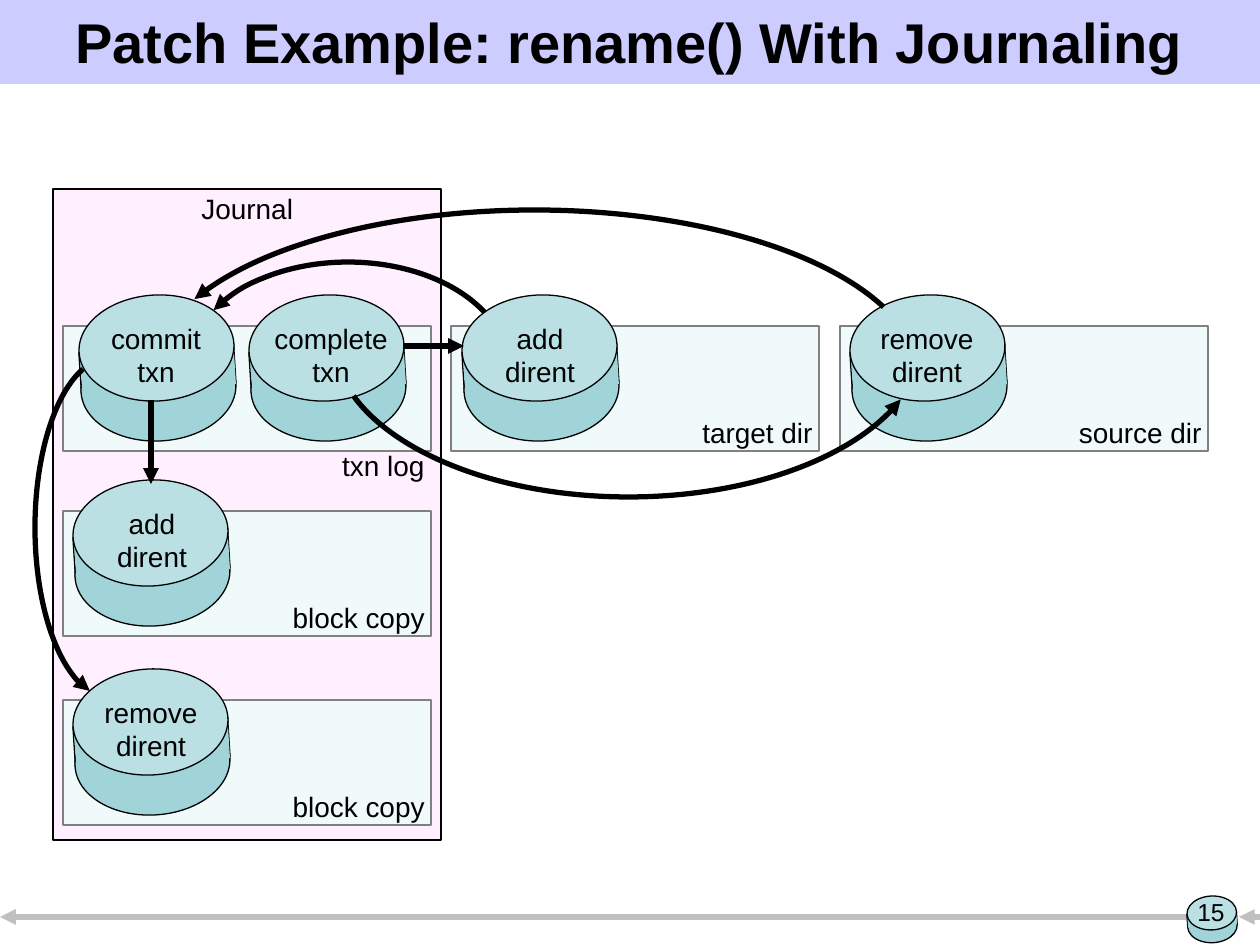
from math import atan2, degrees

from lxml.etree import SubElement
from pptx import Presentation
from pptx.dml.color import RGBColor
from pptx.enum.shapes import MSO_CONNECTOR, MSO_SHAPE
from pptx.enum.text import MSO_ANCHOR, MSO_AUTO_SIZE, PP_ALIGN
from pptx.oxml.ns import qn
from pptx.util import Emu, Pt

TITLE = "Patch Example: rename() With Journaling"
PAGE_NUMBER = "15"
BLACK, GREY, SILVER = "000000", "808080", "C0C0C0"
BANNER, JOURNAL, PANEL = "CCCCFF", "FFEFFF", "F0FAFA"
DISK_SIDE, DISK_TOP = "A0D4D8", "BBE0E3"

PANEL_WIDTH, PANEL_HEIGHT = 368, 125
PANELS = [
    (63, 326, "txn log", 114, 116),
    (451, 326, "target dir", 140, 83),
    (840, 326, "source dir", 152, 83),
    (63, 511, "block copy", 162, 83),
    (63, 700, "block copy", 162, 83),
]
DISK_WIDTH, DISK_HEIGHT = 155, 106
DISKS = [
    (79, 295, 156, 120, ["commit", "txn"]),
    (249, 295, 331, 144, ["complete", "txn"]),
    (462, 295, 540, 100, ["add", "dirent"]),
    (850, 295, 927, 122, ["remove", "dirent"]),
    (73, 480, 152, 100, ["add", "dirent"]),
    (73, 669, 151, 122, ["remove", "dirent"]),
]
DISK_PARTS = [
    (MSO_SHAPE.RECTANGLE, 1, 53, DISK_WIDTH, 40, -3.6, DISK_SIDE, BLACK),
    (MSO_SHAPE.OVAL, 2, 40, DISK_WIDTH, DISK_HEIGHT, -3.1, DISK_SIDE, BLACK),
    (MSO_SHAPE.RECTANGLE, 2, 54, DISK_WIDTH - 1, 40, -3.6, DISK_SIDE, None),
    (MSO_SHAPE.OVAL, 0, 0, DISK_WIDTH, DISK_HEIGHT, -3.1, DISK_TOP, BLACK),
]
CURVES = [
    ((149, 210, 771, 337), (194, 299), (884, 307)),
    ((188, 262, 320, 210), (213, 310), (485, 312)),
    ((35, 358, 149, 339), (90, 690), (83, 369)),
    ((333, 178, 591, 319), (899, 399), (353, 396)),
]
ARROWS = [((151, 400), (151, 484)), ((403, 346), (464, 346))]
FOOTER_ARROWS = [((1187, 917), (0, 917)), ((1260, 917), (1239, 917))]


def px(value):
    """Turn px into EMU."""
    return Emu(round(value * 914400 / 126))


def color(value):
    """Turn a hex string into a colour."""
    return RGBColor.from_string(value)


def add_block(shapes, kind, left, top, width, height, fill, line=None, weight=0.75):
    """Add a flat preset shape."""
    shape = shapes.add_shape(kind, px(left), px(top), px(width), px(height))
    shape.shadow.inherit = False
    if fill:
        shape.fill.solid()
        shape.fill.fore_color.rgb = color(fill)
    else:
        shape.fill.background()
    if line:
        shape.line.color.rgb = color(line)
        shape.line.width = Pt(weight)
    else:
        shape.line.fill.background()
    return shape


def add_disk(page, left, top, scale=1):
    """Add a tilted disk as one group."""
    group = page.shapes.add_group_shape()
    for kind, x, y, width, height, angle, fill, line in DISK_PARTS:
        part = add_block(group.shapes, kind, left + x * scale, top + y * scale,
                         width * scale, height * scale, fill, line)
        part.rotation = angle


def write(para, words, size, align, bold=False):
    """Write one run in a paragraph."""
    para.alignment = align
    span = para.add_run()
    span.text = words
    span.font.name = "Arial"
    span.font.size = Pt(size)
    span.font.bold = bold
    span.font.color.rgb = color(BLACK)


def add_label(page, left, top, width, height, lines, align=PP_ALIGN.CENTER, size=16):
    """Add a growing text box with one paragraph for each line."""
    box = page.shapes.add_textbox(px(left), px(top), px(width), px(height))
    frame = box.text_frame
    frame.word_wrap = False
    frame.auto_size = MSO_AUTO_SIZE.SHAPE_TO_FIT_TEXT
    for index, words in enumerate(lines):
        para = frame.add_paragraph() if index else frame.paragraphs[0]
        write(para, words, size, align)


def add_head(shape, end):
    """Put a triangle on one end of a line."""
    SubElement(shape.line._get_or_add_ln(), qn(f"a:{end}"), type="triangle")


def add_arrow(page, start, end, line):
    """Add a straight arrow."""
    arrow = page.shapes.add_connector(
        MSO_CONNECTOR.STRAIGHT, *(px(value) for value in start + end))
    arrow.line.color.rgb = color(line)
    arrow.line.width = Pt(3)
    add_head(arrow, "tailEnd")
    SubElement(arrow._element.spPr, qn("a:effectLst"))


def add_curve(page, oval, tip, origin):
    """Add a clockwise arc of an oval with its arrowhead at the tip."""
    left, top, width, height = oval
    arc = add_block(page.shapes, MSO_SHAPE.ARC, *oval, None, BLACK, 3)
    for index, (x, y) in enumerate((tip, origin)):
        angle = degrees(atan2(y - top - height / 2, x - left - width / 2)) % 360
        arc.adjustments[index] = angle * 0.6
    add_head(arc, "headEnd")


def main():
    """Build the slide."""
    deck = Presentation()
    deck.slide_width, deck.slide_height = px(1260), px(945)
    page = deck.slides.add_slide(deck.slide_layouts[5])

    add_block(page.shapes, MSO_SHAPE.RECTANGLE, 0, 0, 1260, 84, BANNER)
    title = page.shapes.title
    page.shapes._spTree.append(title._element)
    title.left, title.top, title.width, title.height = px(10), px(5), px(1239), px(73)
    title.text_frame.vertical_anchor = MSO_ANCHOR.MIDDLE
    write(title.text_frame.paragraphs[0], TITLE, 32, PP_ALIGN.CENTER, True)

    for start, end in FOOTER_ARROWS:
        add_arrow(page, start, end, SILVER)
    add_disk(page, 1187, 896, 0.32)
    add_label(page, 1181, 891, 60, 43, [PAGE_NUMBER], size=14)

    add_block(page.shapes, MSO_SHAPE.RECTANGLE, 53, 189, 388, 651, JOURNAL, BLACK, 1)
    add_label(page, 189, 185, 120, 47, ["Journal"], PP_ALIGN.LEFT)
    for left, top, name, width, drop in PANELS:
        add_block(page.shapes, MSO_SHAPE.RECTANGLE, left, top,
                  PANEL_WIDTH, PANEL_HEIGHT, PANEL, GREY, 1.5)
        add_label(page, left + PANEL_WIDTH + 6 - width, top + drop, width, 47,
                  [name], PP_ALIGN.RIGHT)
    for left, top, center, width, lines in DISKS:
        add_disk(page, left, top)
        add_label(page, center - width / 2, top + 20, width, 81, lines)

    for oval, tip, origin in CURVES:
        add_curve(page, oval, tip, origin)
    for start, end in ARROWS:
        add_arrow(page, start, end, BLACK)
    deck.save("out.pptx")


if __name__ == "__main__":
    main()
